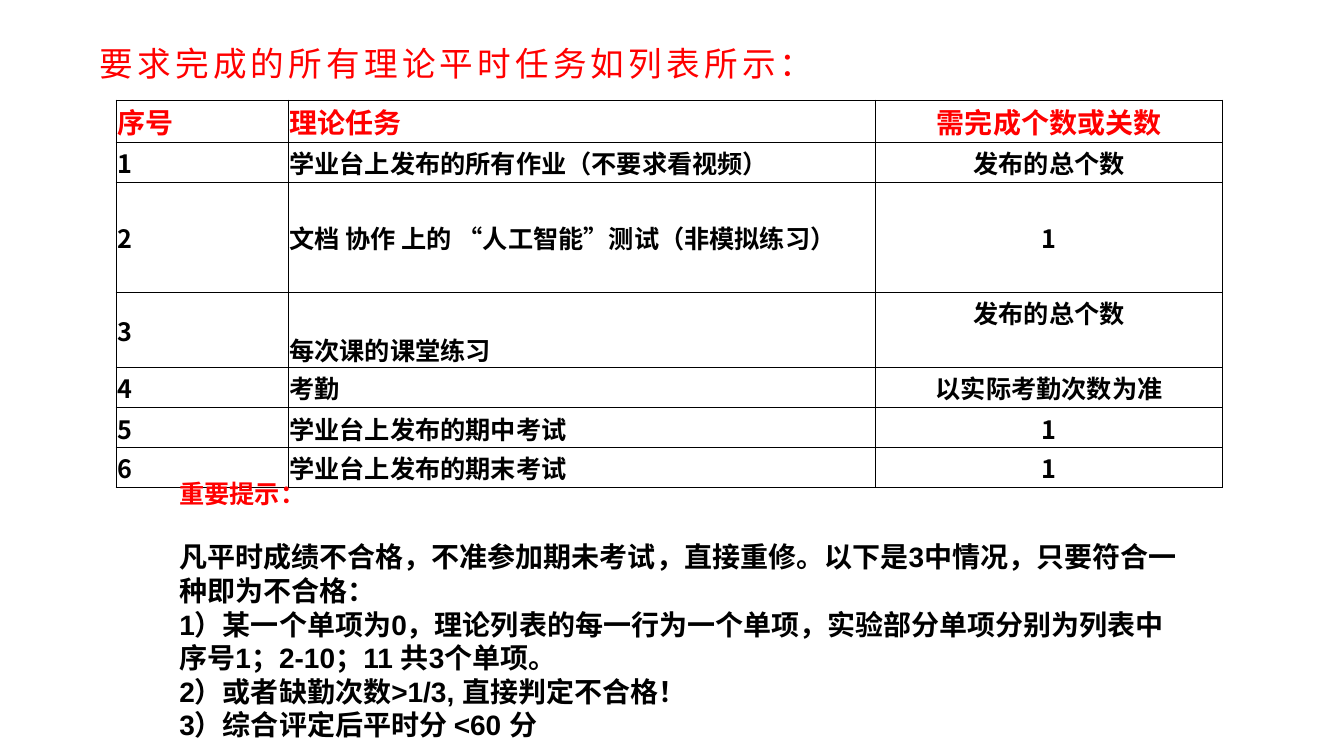
from dataclasses import dataclass

from lxml import etree
from pptx import Presentation
from pptx.dml.color import RGBColor
from pptx.enum.text import MSO_ANCHOR, PP_ALIGN
from pptx.oxml.ns import qn
from pptx.util import Cm, Pt

LEFT, CENTER = PP_ALIGN.LEFT, PP_ALIGN.CENTER
TOP, MIDDLE, BOTTOM = MSO_ANCHOR.TOP, MSO_ANCHOR.MIDDLE, MSO_ANCHOR.BOTTOM
TITLE_ONLY = 5


@dataclass(frozen=True)
class Theme:
    accent: RGBColor = RGBColor(0xFF, 0x00, 0x00)
    ink: RGBColor = RGBColor(0x00, 0x00, 0x00)
    latin: str = "Arial"
    cjk: str = "Noto Sans CJK SC"
    title: int = 24
    large: int = 20
    body: int = 18
    border: float = 0.5


THEME = Theme()

TITLE = "要求完成的所有理论平时任务如列表所示："
HEADER = ("序号", "理论任务", "需完成个数或关数")
TASKS = [
    ("学业台上发布的所有作业（不要求看视频）", "发布的总个数"),
    ("文档 协作 上的 “人工智能”测试（非模拟练习）", "1"),
    ("每次课的课堂练习", "发布的总个数"),
    ("考勤", "以实际考勤次数为准"),
    ("学业台上发布的期中考试", "1"),
    ("学业台上发布的期末考试", "1"),
]
COLUMN_WIDTHS = (4.34, 14.81, 8.74)
ROW_HEIGHTS = (1.04, 1.01, 2.79, 1.88, 1.01, 1.01, 1.0)
EXERCISE_ANCHORS = {(3, 1): BOTTOM, (3, 2): TOP}

NOTICE_HEADING = "重要提示："
NOTICE_RULES = [
    "凡平时成绩不合格，不准参加期未考试，直接重修。以下是3中情况，只要符合一种即为不合格：",
    "1）某一个单项为0，理论列表的每一行为一个单项，实验部分单项分别为列表中 序号1；2-10；11 共3个单项。",
    "2）或者缺勤次数>1/3, 直接判定不合格！",
    "3）综合评定后平时分 <60 分",
]


def add_run(paragraph, text, size, color, latin=THEME.latin, bold=True):
    run = paragraph.add_run()
    run.text = text
    run.font.size = Pt(size)
    run.font.bold = bold
    run.font.color.rgb = color
    run.font.name = latin
    properties = run.font._element
    etree.SubElement(properties, qn("a:ea")).set("typeface", THEME.cjk)
    return run


def set_title(slide):
    title = slide.shapes.title
    title.left, title.top = Cm(2.26), Cm(0.2)
    title.width, title.height = Cm(29.21), Cm(2.8)
    title.text_frame.vertical_anchor = MIDDLE
    paragraph = title.text_frame.paragraphs[0]
    paragraph.alignment = LEFT
    run = add_run(paragraph, TITLE, THEME.title, THEME.accent, bold=False)
    run.font._element.set("spc", "300")


def set_borders(cell):
    properties = cell._tc.get_or_add_tcPr()
    for side in ("a:lnL", "a:lnR", "a:lnT", "a:lnB"):
        line = etree.SubElement(properties, qn(side), w=str(Pt(THEME.border)))
        fill = etree.SubElement(line, qn("a:solidFill"))
        etree.SubElement(fill, qn("a:srgbClr"), val=str(THEME.ink))


def fill_cell(cell, text, size, color, alignment, anchor):
    set_borders(cell)
    cell.fill.background()
    cell.margin_left = cell.margin_right = cell.margin_top = Cm(0.03)
    cell.margin_bottom = Cm(0)
    cell.vertical_anchor = anchor
    paragraph = cell.text_frame.paragraphs[0]
    paragraph.alignment = alignment
    add_run(paragraph, text, size, color, THEME.cjk)


def add_task_table(slide):
    rows = [HEADER] + [(str(n), *task) for n, task in enumerate(TASKS, 1)]
    table = slide.shapes.add_table(
        len(rows), len(HEADER), Cm(2.92), Cm(2.52),
        Cm(sum(COLUMN_WIDTHS)), Cm(sum(ROW_HEIGHTS))).table
    table.first_row = table.horz_banding = False
    for column, width in zip(table.columns, COLUMN_WIDTHS):
        column.width = Cm(width)
    for r, (texts, height) in enumerate(zip(rows, ROW_HEIGHTS)):
        table.rows[r].height = Cm(height)
        size, color = (THEME.body, THEME.ink) if r else (THEME.large, THEME.accent)
        for c, text in enumerate(texts):
            fill_cell(table.cell(r, c), text, size, color,
                      CENTER if c == 2 else LEFT,
                      EXERCISE_ANCHORS.get((r, c), MIDDLE))


def add_notice(slide):
    frame = slide.shapes.add_textbox(Cm(4.27), Cm(11.94), Cm(25.65), Cm(6.93)).text_frame
    frame.word_wrap = True
    heading = frame.paragraphs[0]
    heading.space_after = Pt(22)
    add_run(heading, NOTICE_HEADING, THEME.body, THEME.accent)
    for rule in NOTICE_RULES:
        add_run(frame.add_paragraph(), rule, THEME.large, THEME.ink)


def main():
    presentation = Presentation()
    presentation.slide_width, presentation.slide_height = Cm(33.87), Cm(19.05)
    slide = presentation.slides.add_slide(presentation.slide_layouts[TITLE_ONLY])
    set_title(slide)
    add_task_table(slide)
    add_notice(slide)
    presentation.save("out.pptx")


if __name__ == "__main__":
    main()
